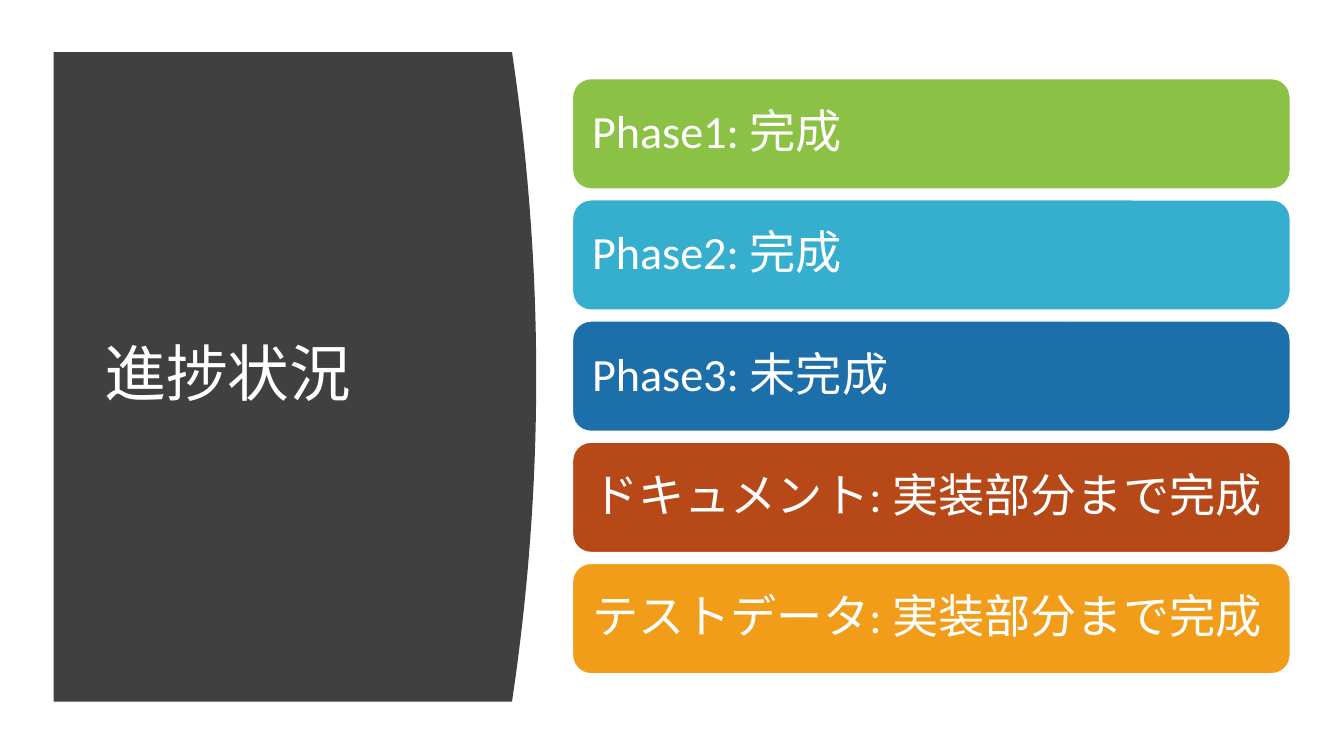
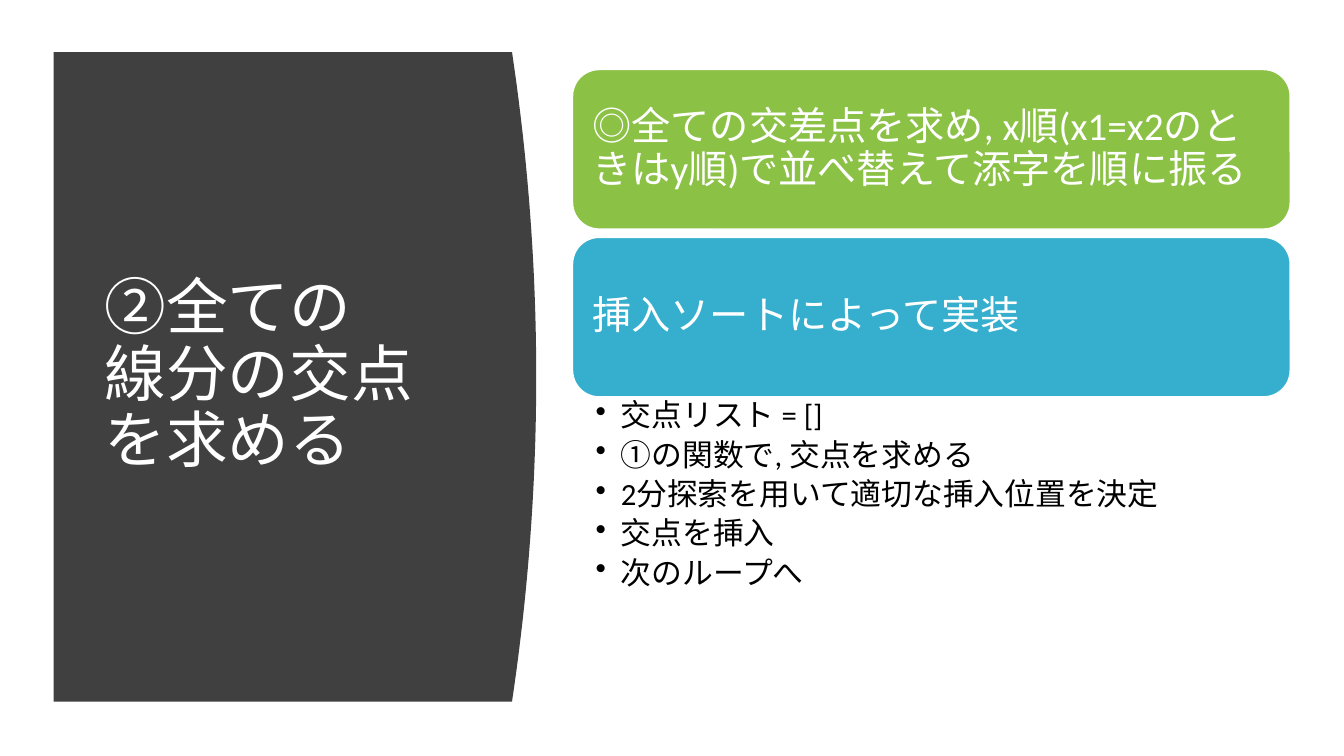
from lxml import etree
from pptx import Presentation
from pptx import util as u
from pptx.dml.color import RGBColor
from pptx.enum import shapes, text
from pptx.oxml import ns

WHITE = RGBColor(0xFF, 0xFF, 0xFF)
BLACK = RGBColor(0x00, 0x00, 0x00)
CHARCOAL = RGBColor(0x40, 0x40, 0x40)
GREEN = RGBColor(0x8B, 0xC1, 0x45)
CYAN = RGBColor(0x36, 0xAF, 0xCE)
BLUE = RGBColor(0x1D, 0x6F, 0xA9)
RUST = RGBColor(0xB7, 0x49, 0x19)
AMBER = RGBColor(0xF1, 0x9D, 0x19)
CARD_COLORS = (GREEN, CYAN, BLUE, RUST, AMBER)


class Deck:
    FONT = "Calibri"
    GRID = 100
    CARD_LEFT, CARD_WIDTH = 42.6, 53.4
    PANEL_LEFT, PANEL_RIGHT, PANEL_BULGE = 4, 38.1, 1.8
    PANEL_TOP, PANEL_BOTTOM = 6.9, 92.8
    CURVE_STEPS = 40

    def __init__(self):
        self.presentation = Presentation()
        self.presentation.slide_width = u.Inches(13.33)
        self.presentation.slide_height = u.Inches(7.5)
        self.slide = None

    def x(self, columns):
        return round(self.presentation.slide_width * columns / self.GRID)

    def y(self, rows):
        return round(self.presentation.slide_height * rows / self.GRID)

    def box(self, left, top, width, height):
        return self.x(left), self.y(top), self.x(width), self.y(height)

    def new_slide(self, title):
        layout = self.presentation.slide_layouts[6]
        self.slide = self.presentation.slides.add_slide(layout)
        self.panel()
        self.title(title)

    def paint(self, shape, fill):
        shape.shadow.inherit = False
        shape.fill.solid()
        shape.fill.fore_color.rgb = fill

    def style(self, paragraph, size, color):
        paragraph.alignment = text.PP_ALIGN.LEFT
        paragraph.line_spacing = 0.9
        paragraph.font.name = self.FONT
        paragraph.font.size = u.Pt(size)
        paragraph.font.color.rgb = color

    def frame(self, shape, anchor, horizontal, vertical):
        frame = shape.text_frame
        frame.word_wrap = True
        frame.vertical_anchor = anchor
        frame.margin_left = frame.margin_right = u.Inches(horizontal)
        frame.margin_top = frame.margin_bottom = u.Inches(vertical)
        return frame

    def panel(self):
        left, top, bottom = self.PANEL_LEFT, self.PANEL_TOP, self.PANEL_BOTTOM
        points = []
        for step in range(self.CURVE_STEPS + 1):
            share = step / self.CURVE_STEPS
            column = self.PANEL_RIGHT + self.PANEL_BULGE * 4 * share * (1 - share)
            points.append((self.x(column), self.y(top + (bottom - top) * share)))
        points.append((self.x(left), self.y(bottom)))
        builder = self.slide.shapes.build_freeform(self.x(left), self.y(top))
        builder.add_line_segments(points, close=True)
        panel = builder.convert_to_shape()
        self.paint(panel, CHARCOAL)
        panel.line.fill.background()

    def title(self, wording):
        shape = self.slide.shapes.add_textbox(*self.box(7.05, 14.8, 28.05, 69.9))
        frame = self.frame(shape, text.MSO_ANCHOR.MIDDLE, 0.1, 0.05)
        frame.paragraphs[0].text = wording
        self.style(frame.paragraphs[0], 44, WHITE)

    def cards(self, wordings, top, height, gap, size, inset):
        for index, (wording, color) in enumerate(zip(wordings, CARD_COLORS)):
            shape = self.slide.shapes.add_shape(
                shapes.MSO_SHAPE.ROUNDED_RECTANGLE,
                *self.box(self.CARD_LEFT, top + index * (height + gap),
                          self.CARD_WIDTH, height))
            self.paint(shape, color)
            shape.line.color.rgb = WHITE
            shape.line.width = u.Pt(1)
            frame = self.frame(shape, text.MSO_ANCHOR.MIDDLE, inset, inset)
            frame.paragraphs[0].text = wording
            self.style(frame.paragraphs[0], size, WHITE)

    def bullets(self, wordings, top, height, size):
        shape = self.slide.shapes.add_textbox(
            *self.box(self.CARD_LEFT, top, self.CARD_WIDTH, height))
        frame = self.frame(shape, text.MSO_ANCHOR.TOP, 0.23, 0.04)
        indent = u.Inches(0.25)
        for index, wording in enumerate(wordings):
            paragraph = frame.add_paragraph() if index else frame.paragraphs[0]
            paragraph.text = wording
            paragraph.space_after = u.Pt(size * 0.2)
            properties = paragraph._p.get_or_add_pPr()
            properties.set("marL", str(indent))
            properties.set("indent", str(-indent))
            etree.SubElement(properties, ns.qn("a:buChar"), char="•")
            self.style(paragraph, size, BLACK)

    def save(self):
        self.presentation.save("out.pptx")


def main():
    deck = Deck()

    deck.new_slide("進捗状況")
    deck.cards(
        ["Phase1: 完成", "Phase2: 完成", "Phase3: 未完成",
         "ドキュメント: 実装部分まで完成", "テストデータ: 実装部分まで完成"],
        top=10.4, height=14.6, gap=1.43, size=33, inset=0.14)

    deck.new_slide("②全ての\v線分の交点を求める")
    deck.cards(
        ["◎全ての交差点を求め, x順(x1=x2のときはy順)で並べ替えて添字を順に振る",
         "挿入ソートによって実装"],
        top=9.2, height=21.1, gap=1.1, size=28, inset=0.12)
    deck.bullets(
        ["交点リスト = []", "①の関数で, 交点を求める",
         "2分探索を用いて適切な挿入位置を決定", "交点を挿入", "次のループへ"],
        top=52.4, height=38, size=22)

    deck.save()


if __name__ == "__main__":
    main()
